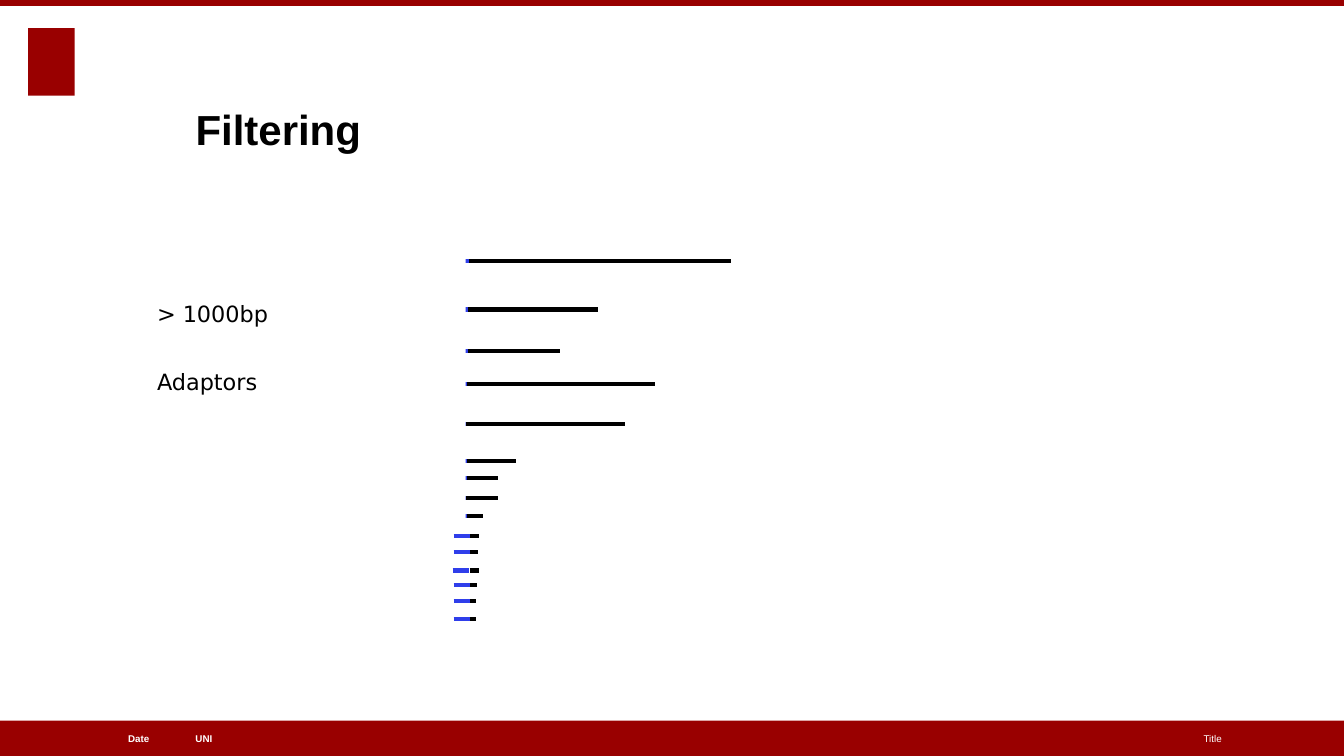
import pptx
import pptx.util
import pptx.dml.color
import pptx.enum.shapes
import pptx.enum.text
import pptx.oxml.ns
import lxml.etree

HUES = {"red": "990000", "white": "FFFFFF", "black": "000000", "blue": "2F3EEA"}
RGB = pptx.dml.color.RGBColor.from_string
ALIGN = pptx.enum.text.PP_ALIGN
ANCHOR = pptx.enum.text.MSO_ANCHOR

deck = pptx.Presentation()
deck.slide_width = pptx.util.Inches(13.33)
deck.slide_height = pptx.util.Inches(7.5)
# The slide is a grid of 160 columns and 90 rows
col = deck.slide_width / 160
row = deck.slide_height / 90
slide = deck.slides.add_slide(deck.slide_layouts[5])
shapes = slide.shapes


def place(x, y, w, h):
    return round(x * col), round(y * row), round(w * col), round(h * row)


def write(frame, text, size, font, hue, bold=False, align=ALIGN.LEFT):
    para = frame.paragraphs[0]
    para.alignment = align
    run = para.add_run()
    run.text = text
    run.font.size = pptx.util.Pt(size)
    run.font.name = font
    run.font.bold = bold
    run.font.color.rgb = RGB(HUES[hue])


# Title
title = shapes.title
title.left, title.top, title.width, title.height = place(23.28, 5.64, 122.16, 12.72)
frame = title.text_frame
frame.margin_left = frame.margin_right = frame.margin_top = frame.margin_bottom = 0
frame.vertical_anchor = ANCHOR.BOTTOM
write(frame, "Filtering", 30, "Arial", "black", True)

# Reads: row, adaptor start, read start, read end
reads = [
    (31.08, 53.88, 55.5, 87), (36.84, 53.76, 55.5, 71.16),
    (41.76, 53.76, 55.5, 66.72), (45.72, 53.64, 55.5, 78),
    (50.52, 53.52, 55.5, 74.4), (54.84, 53.64, 55.5, 61.44),
    (56.88, 53.64, 55.5, 59.28), (59.28, 53.52, 55.5, 59.28),
    (61.44, 53.64, 55.5, 57.48), (63.84, 54, 55.92, 57),
    (65.76, 54, 55.92, 56.88), (67.92, 53.88, 55.92, 57),
    (69.6, 54, 55.92, 56.76), (71.52, 54, 55.92, 56.64),
    (73.68, 54, 55.92, 56.64),
]
for y, tag, start, end in reads:
    for hue, left, right in [("black", start, end), ("blue", tag, tag + 1.92)]:
        line = shapes.add_connector(
            pptx.enum.shapes.MSO_CONNECTOR.STRAIGHT,
            round(left * col), round(y * row), round(right * col), round(y * row))
        line.line.color.rgb = RGB(HUES[hue])
        line.line.width = pptx.util.Pt(3)
        props = line._element.spPr
        lxml.etree.SubElement(props, pptx.oxml.ns.qn("a:effectLst"))

# Bars, logo block, and the cover that trims the adaptors of long reads
blocks = [
    ("red", 0, 0, 160, 0.72),
    ("red", 0, 85.8, 160, 4.2),
    ("red", 3.36, 3.36, 5.52, 8.04),
    ("white", 51.6, 28.8, 3.84, 33.36),
]
for hue, *area in blocks:
    block = shapes.add_shape(pptx.enum.shapes.MSO_SHAPE.RECTANGLE, *place(*area))
    block.shadow.inherit = False
    block.fill.solid()
    block.fill.fore_color.rgb = RGB(HUES[hue])
    block.line.fill.background()

# Filter labels
for text, y, w, wrap in [("> 1000bp", 35.16, 20.64, True), ("Adaptors", 43.2, 14.52, False)]:
    frame = shapes.add_textbox(*place(17.52, y, w, 4.44)).text_frame
    frame.word_wrap = wrap
    frame.auto_size = pptx.enum.text.MSO_AUTO_SIZE.SHAPE_TO_FIT_TEXT
    write(frame, text, 16, "DejaVu Sans", "black")

# Footer
notes = [
    ("UNI", 23.28, 44.64, True, ALIGN.LEFT),
    ("Date", 3.24, 14.52, True, ALIGN.RIGHT),
    ("Title", 73.32, 72.12, False, ALIGN.RIGHT),
]
for text, x, w, bold, align in notes:
    frame = shapes.add_textbox(*place(x, 85.8, w, 4.2)).text_frame
    frame.word_wrap = True
    frame.margin_left = frame.margin_right = frame.margin_top = frame.margin_bottom = 0
    frame.vertical_anchor = ANCHOR.MIDDLE
    write(frame, text, 7, "Arial", "white", bold, align)

deck.save("out.pptx")
